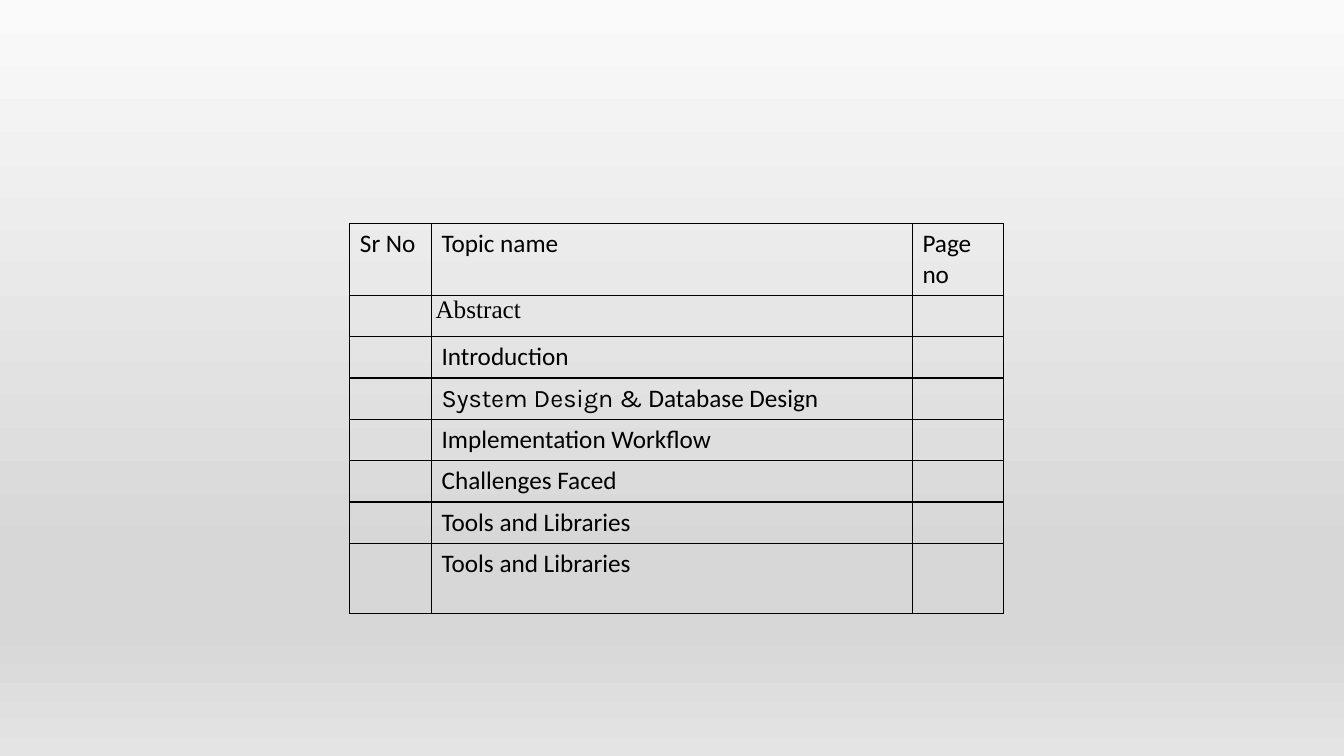
from lxml import etree
from pptx import Presentation, util as u
from pptx.dml.color import RGBColor
from pptx.oxml.ns import qn

SANS, SERIF, KARLA = "Calibri", "Times New Roman", "Karla"
INK = {"text": "000000", "line": "000000"}
SHADES = [(0, "FAFAFA"), (74, "D7D7D7"), (83, "D7D7D7"), (100, "E4E4E4")]
HEAD = ["Sr No", "Topic name", "Page no"]
TOPICS = [
    [("Abstract", SERIF)],
    [("Introduction", SANS)],
    [("System Design & ", KARLA), ("Database Design", SANS)],
    [("Implementation Workflow", SANS)],
    [("Challenges Faced", SANS)],
    [("Tools and Libraries", SANS)],
    [("Tools and Libraries", SANS)],
]
LEFT, TOP = 3.47, 2.22
COLS = [0.81, 4.77, 0.9]
ROW, TALL = 0.41, 0.7
ROWS = [TALL] + [ROW] * (len(TOPICS) - 1) + [TALL]


def shade(slide):
    """Fill the background with the grey gradient, top to bottom."""
    fill = slide.background.fill
    fill.gradient()
    fill.gradient_angle = 270
    stops = next(slide.element.iter(qn("a:gsLst")))
    for old in list(stops):
        stops.remove(old)
    for share, tone in SHADES:
        stop = etree.SubElement(stops, qn("a:gs"), pos=str(share * 1000))
        etree.SubElement(stop, qn("a:srgbClr"), val=tone)


def frame(cell):
    """Give the cell no fill and a thin line on all four sides."""
    cell.fill.background()
    props = cell._tc.get_or_add_tcPr()
    for spot, side in enumerate(("lnL", "lnR", "lnT", "lnB")):
        line = etree.Element(qn("a:" + side), w=str(u.Pt(1)))
        solid = etree.SubElement(line, qn("a:solidFill"))
        etree.SubElement(solid, qn("a:srgbClr"), val=INK["line"])
        props.insert(spot, line)


def write(cell, runs):
    para = cell.text_frame.paragraphs[0]
    para.font.size = u.Pt(18)
    for words, face in runs:
        run = para.add_run()
        run.text = words
        run.font.name = face
        run.font.size = u.Pt(18)
        run.font.bold = False
        run.font.color.rgb = RGBColor.from_string(INK["text"])


def inset(cell):
    """Set the tight margins and hanging indent of the first topic."""
    cell.margin_left = cell.margin_top = cell.margin_bottom = 0
    cell.margin_right = u.Inches(0.08)
    para = cell.text_frame.paragraphs[0]
    para.line_spacing = 1.03
    para.space_after = u.Pt(6.5)
    props = para._p.get_or_add_pPr()
    props.set("marL", str(u.Inches(0.05)))
    props.set("indent", str(u.Inches(-0.01)))


def main():
    deck = Presentation()
    deck.slide_width, deck.slide_height = u.Inches(13.33), u.Inches(7.5)
    slide = deck.slides.add_slide(deck.slide_layouts[6])
    shade(slide)

    box = [u.Inches(n) for n in (LEFT, TOP, sum(COLS), sum(ROWS))]
    table = slide.shapes.add_table(len(ROWS), len(COLS), *box).table
    table.first_row = table.horz_banding = False
    for col, width in zip(table.columns, COLS):
        col.width = u.Inches(width)
    for row, height in zip(table.rows, ROWS):
        row.height = u.Inches(height)

    grid = [[[(word, SANS)] for word in HEAD]]
    grid += [[[], runs, []] for runs in TOPICS]
    for r, line in enumerate(grid):
        for c, runs in enumerate(line):
            cell = table.cell(r, c)
            write(cell, runs)
            frame(cell)
    inset(table.cell(1, 1))
    deck.save("out.pptx")


if __name__ == "__main__":
    main()
